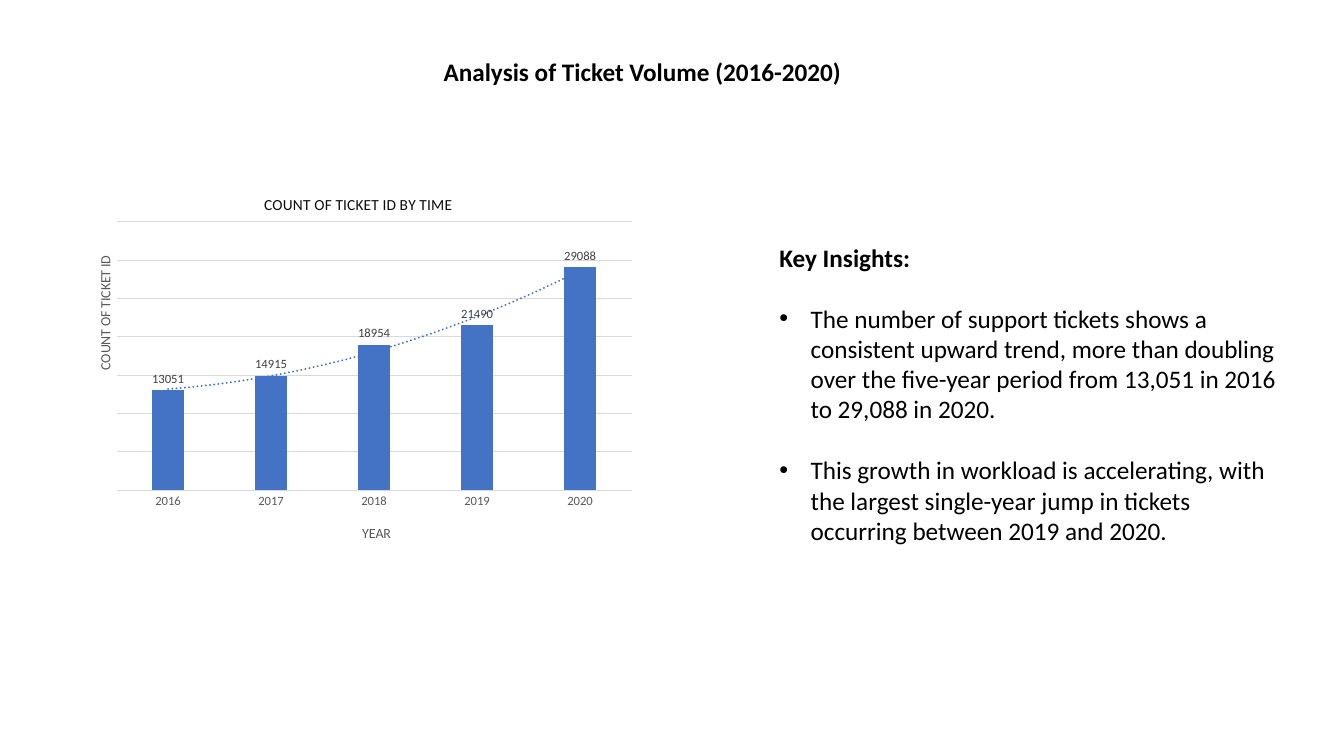
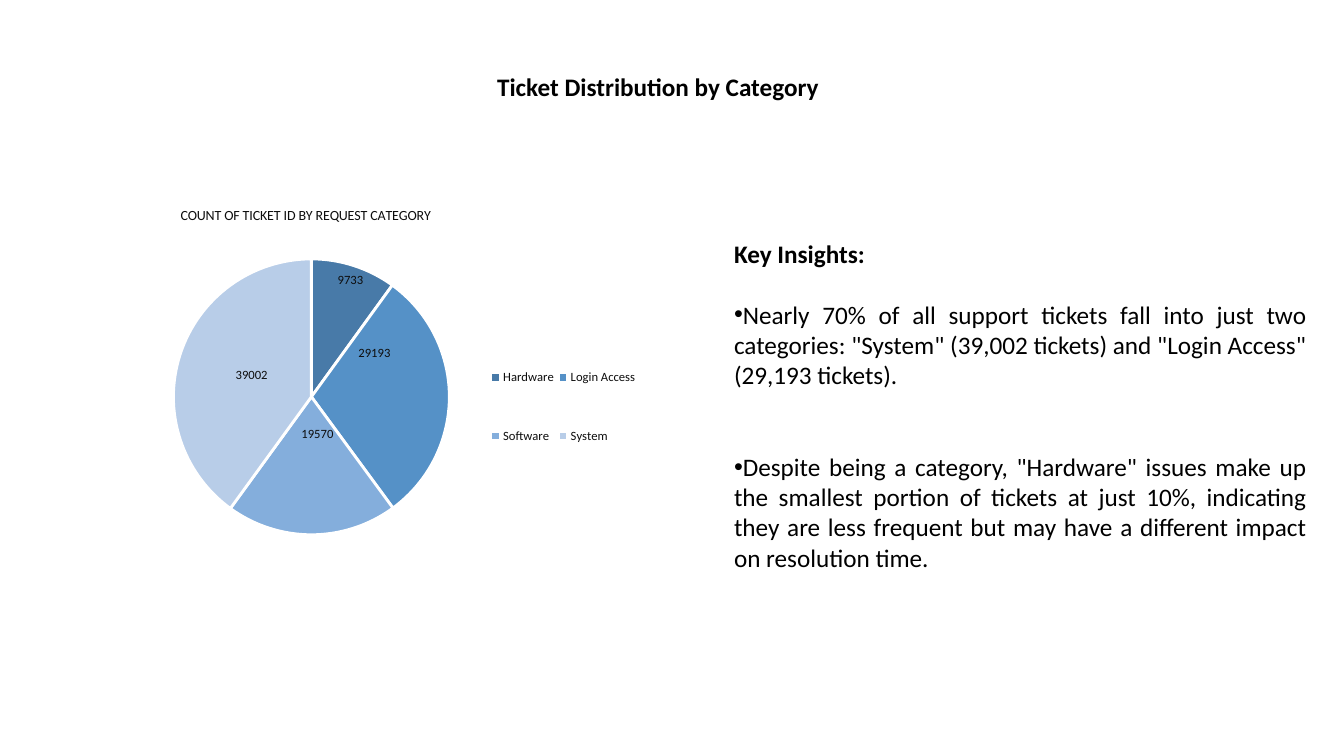
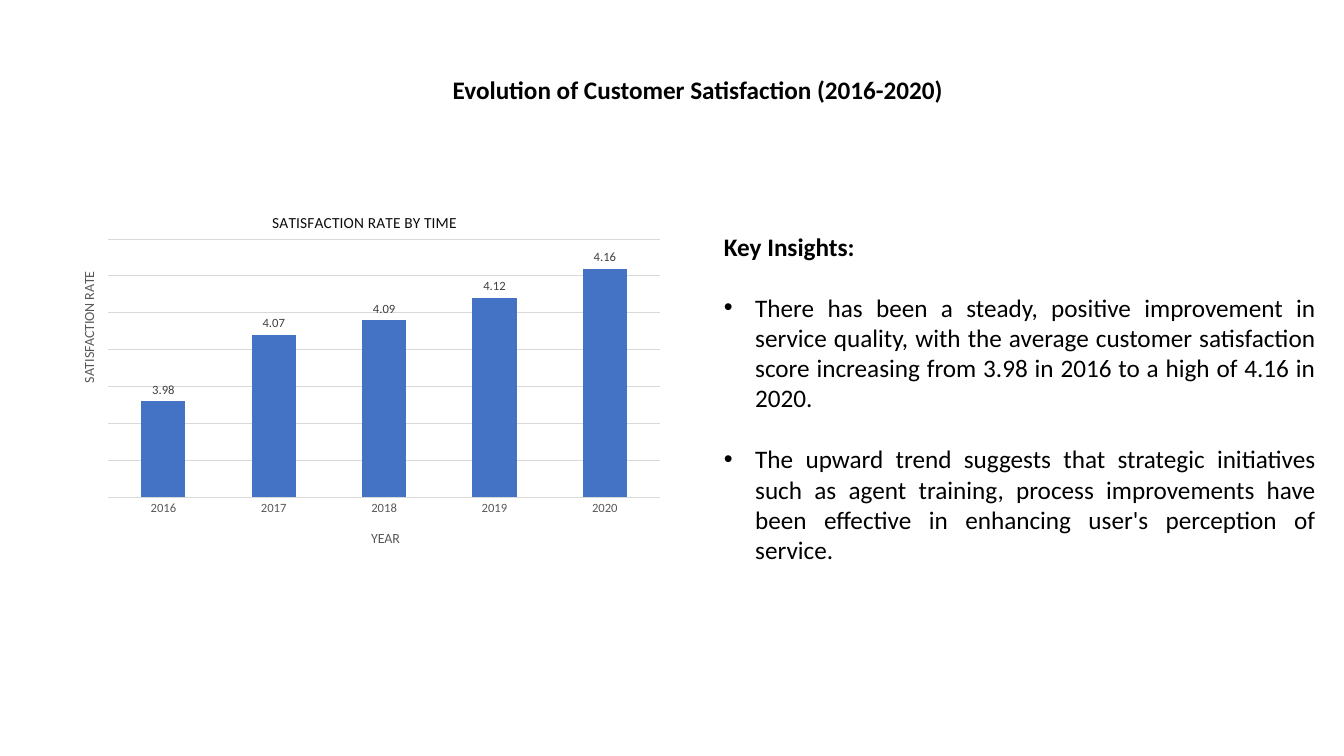
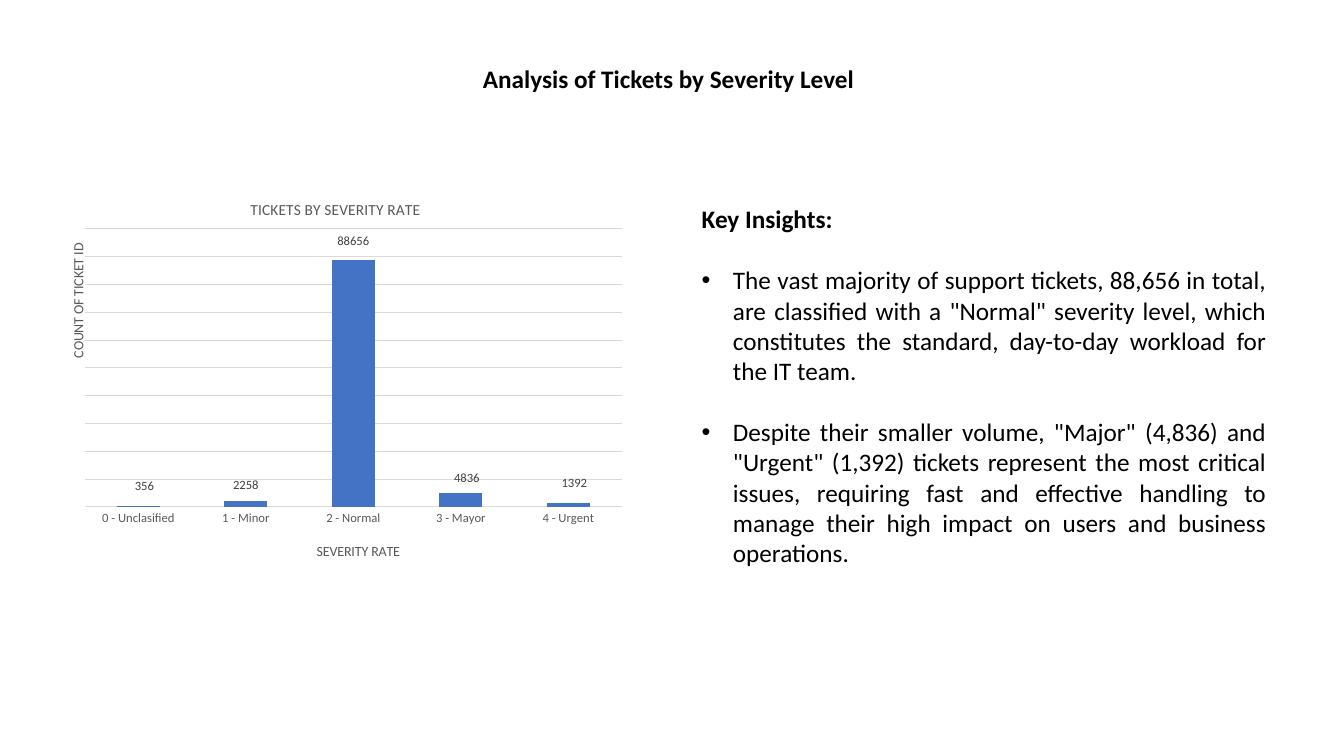
from lxml import etree
from pptx import Presentation
from pptx.chart.data import CategoryChartData
from pptx.dml.color import RGBColor
from pptx.enum.chart import XL_CHART_TYPE, XL_LABEL_POSITION, XL_LEGEND_POSITION, XL_TICK_MARK
from pptx.enum.text import MSO_ANCHOR, MSO_AUTO_SIZE, PP_ALIGN
from pptx.oxml import parse_xml
from pptx.oxml.ns import nsdecls, qn
from pptx.util import Inches, Pt

COLUMN, PIE = XL_CHART_TYPE.COLUMN_CLUSTERED, XL_CHART_TYPE.PIE
OUTSIDE, CENTER = XL_LABEL_POSITION.OUTSIDE_END, XL_LABEL_POSITION.CENTER
LEGEND_RIGHT = XL_LEGEND_POSITION.RIGHT
NO_TICK = XL_TICK_MARK.NONE
LEFT, JUSTIFY = PP_ALIGN.LEFT, PP_ALIGN.JUSTIFY
TOP, NO_FIT = MSO_ANCHOR.TOP, MSO_AUTO_SIZE.NONE

FONT = "Calibri"
BLACK, WHITE, INK, LABEL, GREY, GRID, BLUE = (
    "000000", "FFFFFF", "0D0D0D", "404040", "595959", "D9D9D9", "4472C4")
SLICES = ["487AA8", "5591C7", "84AEDC", "B8CDE8"]
TEXT_SIZE, LINE = 18, 22            # text size and one line of it, in points
TITLE_W, TITLE_H = 6.67, 0.4
HANG = 0.31
COLUMN_PLOT = (0.09, 0.13, 0.89, 0.69)   # shares of the chart's box
PIE_PLOT = (0.11, 0.23, 0.63, 0.7)
PIE_LEGEND = (0.72, 0.4, 0.26, 0.41)
YEARS = ["2016", "2017", "2018", "2019", "2020"]


def rgb(value):
    return RGBColor.from_string(value)


def style(font, size, color, bold=False):
    font.name, font.size, font.bold = FONT, Pt(size), bold
    font.color.rgb = rgb(color)


def inches(box):
    return [Inches(v) for v in box]


# ---- Text ----
def prepare(sp, box):
    sp.left, sp.top, sp.width, sp.height = inches(box)
    tf = sp.text_frame
    tf.word_wrap, tf.auto_size, tf.vertical_anchor = True, NO_FIT, TOP
    return tf


def write(p, text, bold, align):
    p.alignment = align
    r = p.add_run()
    r.text = text
    style(r.font, TEXT_SIZE, BLACK, bold)


def set_bullet(p, hang, bullet):
    pPr = p._p.get_or_add_pPr()
    pPr.set("marL", str(Inches(hang)))
    pPr.set("indent", str(-Inches(hang)))
    if bullet:
        etree.SubElement(pPr, qn("a:buFont")).set("typeface", "Arial")
        etree.SubElement(pPr, qn("a:buChar")).set("char", "•")
    else:
        etree.SubElement(pPr, qn("a:buNone"))


def add_title(slide, at, text):
    tf = prepare(slide.shapes.title, (*at, TITLE_W, TITLE_H))
    write(tf.paragraphs[0], text, True, LEFT)


def add_insights(slide, box, points, align=JUSTIFY, hang=HANG, gaps=(1, 1)):
    tf = prepare(slide.placeholders[1], box)
    p = tf.paragraphs[0]
    p.space_before = Pt(0)
    set_bullet(p, 0, False)
    write(p, "Key Insights:", True, LEFT)
    for text, gap in zip(points, gaps):
        p = tf.add_paragraph()
        p.space_before = Pt(gap * LINE)
        set_bullet(p, hang, True)
        write(p, text, False, align)


# ---- Chart parts ----
def manual_layout(x, y, w=None, h=None, edge=True, inner=False):
    parts = [("layoutTarget", "inner")] if inner else []
    if edge:
        parts += [("xMode", "edge"), ("yMode", "edge")]
    parts += [("x", x), ("y", y)]
    if w is not None:
        parts += [("w", w), ("h", h)]
    layout = etree.Element(qn("c:layout"))
    manual = etree.SubElement(layout, qn("c:manualLayout"))
    for tag, value in parts:
        etree.SubElement(manual, qn("c:" + tag)).set("val", str(value))
    return layout


def place(parent, index, layout):
    old = parent.find(qn("c:layout"))
    if old is not None:
        parent.replace(old, layout)
    else:
        parent.insert(index, layout)


def set_title(title, text, at, size, color):
    r = title.text_frame.paragraphs[0].add_run()
    r.text = text
    style(r.font, size, color)
    place(title._element, 1, manual_layout(*at))


def set_labels(series, position, color, offsets=(), fmt=None):
    labels = series.data_labels
    labels.show_value, labels.position = True, position
    style(labels.font, 9, color)
    if fmt:
        labels.number_format, labels.number_format_is_linked = fmt, False
    for i in range(len(offsets)):
        label = series.points[i].data_label
        style(label.font, 9, color)
        label.position = position
    root = labels._element
    for dLbl, offset in zip(root.findall(qn("c:dLbl")), offsets):
        place(dLbl, 1, manual_layout(*offset, edge=False))
    for leader in root.findall(qn("c:showLeaderLines")):
        leader.set("val", "0")


def add_trend(series, color):
    trend = parse_xml(
        f'<c:trendline {nsdecls("c", "a")}><c:spPr><a:ln w="19050" cap="rnd">'
        f'<a:solidFill><a:srgbClr val="{color}"/></a:solidFill>'
        '<a:prstDash val="sysDot"/></a:ln></c:spPr><c:trendlineType val="poly"/>'
        '<c:order val="2"/><c:dispRSqr val="0"/><c:dispEq val="0"/></c:trendline>')
    series._element.find(qn("c:cat")).addprevious(trend)


def add_chart(slide, kind, box, cats, vals, title, plot_box):
    data = CategoryChartData()
    data.categories = cats
    data.add_series("Series 1", vals)
    chart = slide.shapes.add_chart(kind, *inches(box), data).chart
    style(chart.font, 10, BLACK)
    chart.has_legend, chart.has_title = False, True
    set_title(chart.chart_title, *title)
    plot_area = chart._chartSpace.find(".//" + qn("c:plotArea"))
    place(plot_area, 0, manual_layout(*plot_box, inner=True))
    return chart


# ---- Kinds of chart ----
def add_columns(slide, box, cats, vals, title, cat_title, val_title, scale,
                gap=150, overlap=0, trend=False, axis_line=True, offsets=(), fmt=None):
    chart = add_chart(slide, COLUMN, box, cats, vals, title, COLUMN_PLOT)
    plot = chart.plots[0]
    plot.gap_width, plot.overlap, plot.vary_by_categories = gap, overlap, False
    series = plot.series[0]
    series.format.fill.solid()
    series.format.fill.fore_color.rgb = rgb(BLUE)
    set_labels(series, OUTSIDE, LABEL, offsets, fmt)
    if trend:
        add_trend(series, BLUE)

    cat, val = chart.category_axis, chart.value_axis
    cat.major_tick_mark = cat.minor_tick_mark = NO_TICK
    style(cat.tick_labels.font, 9, GREY)
    if axis_line:
        cat.format.line.color.rgb, cat.format.line.width = rgb(GRID), Pt(0.75)
    else:
        cat.format.line.fill.background()
    val.visible, val.has_major_gridlines = False, True
    val.minimum_scale, val.maximum_scale, val.major_unit = scale
    grid = val.major_gridlines.format.line
    grid.color.rgb, grid.width = rgb(GRID), Pt(0.75)
    for axis, (text, at) in ((cat, cat_title), (val, val_title)):
        axis.has_title = True
        set_title(axis.axis_title, text, at, 10, GREY)
    body = val.axis_title._element.find(".//" + qn("a:bodyPr"))
    body.set("rot", "-5400000")
    body.set("vert", "horz")


def add_pie(slide, box, cats, vals, title, offsets):
    chart = add_chart(slide, PIE, box, cats, vals, title, PIE_PLOT)
    series = chart.plots[0].series[0]
    for i, color in enumerate(SLICES):
        fmt = series.points[i].format
        fmt.fill.solid()
        fmt.fill.fore_color.rgb = rgb(color)
        fmt.line.color.rgb, fmt.line.width = rgb(WHITE), Pt(2)
    set_labels(series, CENTER, INK, offsets)
    chart.has_legend = True
    legend = chart.legend
    legend.position, legend.include_in_layout = LEGEND_RIGHT, False
    style(legend.font, 9, INK)
    place(legend._element, 1, manual_layout(*PIE_LEGEND))


# ---- Slides ----
def volume_slide(slide):
    add_title(slide, (4.3, 0.51), "Analysis of Ticket Volume (2016-2020)")
    add_columns(slide, (0.64, 1.7, 5.74, 3.86), YEARS,
                [13051, 14915, 18954, 21490, 29088],
                ("COUNT OF TICKET ID BY TIME", (0.34, 0.05), 11, INK),
                ("YEAR", (0.51, 0.9)), ("COUNT OF TICKET ID", (0.05, 0.21)),
                (0, 35000, 5000), gap=219, overlap=-27, trend=True)
    add_insights(slide, (7.63, 2.35, 5.24, 3.13), [
        "The number of support tickets shows a consistent upward trend, more than "
        "doubling over the five-year period from 13,051 in 2016 to 29,088 in 2020.",
        "This growth in workload is accelerating, with the largest single-year jump "
        "in tickets occurring between 2019 and 2020."], align=LEFT)


def category_slide(slide):
    add_title(slide, (4.83, 0.66), "Ticket Distribution by Category")
    add_pie(slide, (0.59, 1.67, 5.88, 3.91),
            ["Hardware", "Login Access", "Software", "System"],
            [9733, 29193, 19570, 39002],
            ("COUNT OF TICKET ID BY REQUEST CATEGORY", (0.2, 0.09), 10, INK),
            [(0.03, -0.13), (-0.01, -0.11), (0.01, -0.08), (0.01, 0)])
    add_insights(slide, (7.18, 2.31, 5.88, 3.74), [
        'Nearly 70% of all support tickets fall into just two categories: "System" '
        '(39,002 tickets) and "Login Access" (29,193 tickets).',
        'Despite being a category, "Hardware" issues make up the smallest portion of '
        "tickets at just 10%, indicating they are less frequent but may have a "
        "different impact on resolution time."], hang=0, gaps=(1, 2))


def satisfaction_slide(slide):
    add_title(slide, (4.39, 0.69), "Evolution of Customer Satisfaction (2016-2020)")
    add_columns(slide, (0.52, 1.89, 6.15, 3.71), YEARS,
                [3.98, 4.07, 4.09, 4.12, 4.16],
                ("SATISFACTION RATE BY TIME", (0.35, 0.05), 11, INK),
                ("YEAR", (0.51, 0.9)), ("SATISFACTION RATE", (0.04, 0.21)),
                (3.85, 4.2, 0.05), fmt="0.00")
    add_insights(slide, (7.08, 2.24, 6.07, 3.43), [
        "There has been a steady, positive improvement in service quality, with the "
        "average customer satisfaction score increasing from 3.98 in 2016 to a high "
        "of 4.16 in 2020.",
        "The upward trend suggests that strategic initiatives such as agent training, "
        "process improvements have been effective in enhancing user's perception of "
        "service."])


def severity_slide(slide):
    add_title(slide, (4.69, 0.58), "Analysis of Tickets by Severity Level")
    add_columns(slide, (0.3, 1.75, 5.99, 4),
                ["0 - Unclasified", "1 - Minor", "2 - Normal", "3 - Mayor", "4 - Urgent"],
                [356, 2258, 88656, 4836, 1392],
                ("TICKETS BY SEVERITY RATE", (0.36, 0.05), 11, GREY),
                ("SEVERITY RATE", (0.47, 0.9)), ("COUNT OF TICKET ID", (0.06, 0.16)),
                (0, 100000, 10000), axis_line=False,
                offsets=[(0.01, -0.02), (0, -0.01), (0, -0.02), (0.01, -0.01), (0.01, -0.02)])
    add_insights(slide, (6.86, 1.97, 5.8, 4.04), [
        "The vast majority of support tickets, 88,656 in total, are classified with a "
        '"Normal" severity level, which constitutes the standard, day-to-day workload '
        "for the IT team.",
        'Despite their smaller volume, "Major" (4,836) and "Urgent" (1,392) tickets '
        "represent the most critical issues, requiring fast and effective handling to "
        "manage their high impact on users and business operations."])


def main():
    prs = Presentation()
    prs.slide_width, prs.slide_height = Inches(13.33), Inches(7.5)
    for build in (volume_slide, category_slide, satisfaction_slide, severity_slide):
        build(prs.slides.add_slide(prs.slide_layouts[1]))
    prs.save("out.pptx")


if __name__ == "__main__":
    main()
